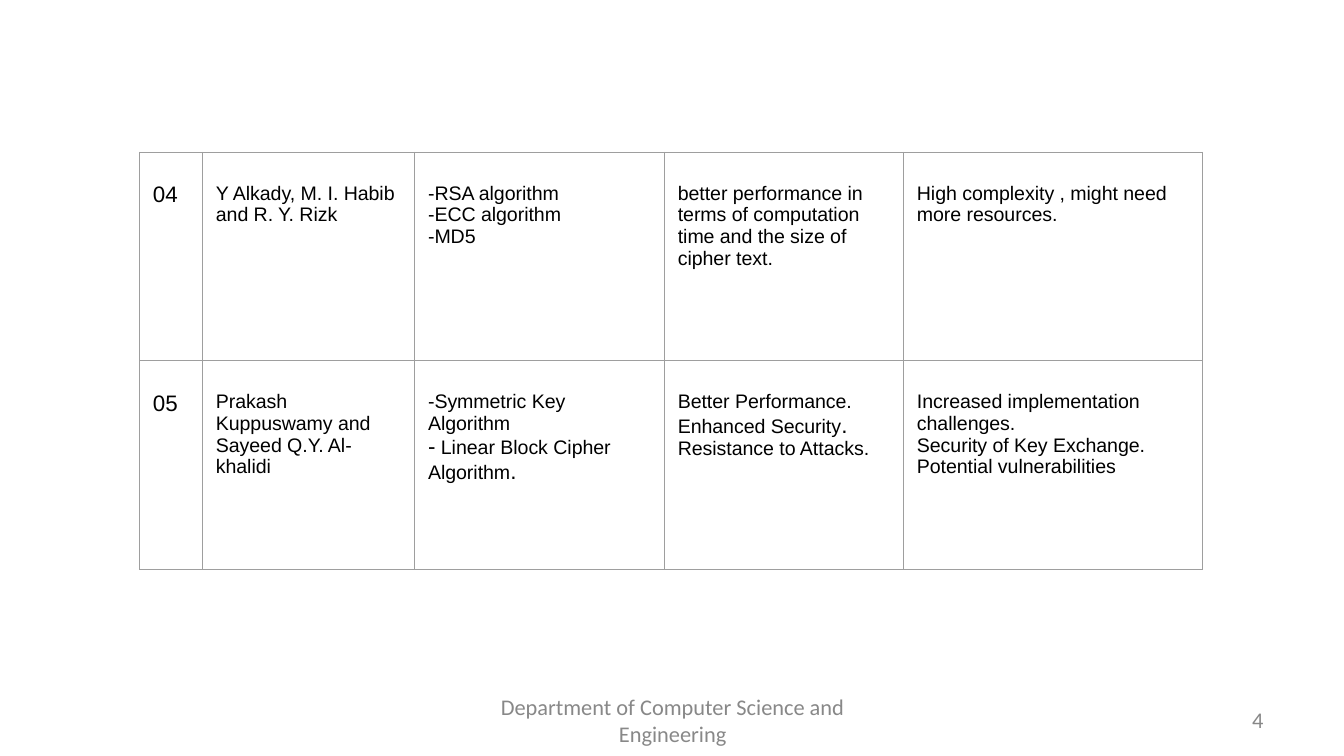
from dataclasses import dataclass

from lxml.etree import SubElement
from pptx import Presentation
from pptx.dml.color import RGBColor
from pptx.enum.text import MSO_ANCHOR, PP_ALIGN
from pptx.oxml.ns import qn
from pptx.util import Cm, Pt


@dataclass(frozen=True)
class Theme:
    ink: RGBColor = RGBColor(0, 0, 0)
    muted: RGBColor = RGBColor(0x88, 0x88, 0x88)
    grid: str = "9E9E9E"
    body_font: str = "Arial"
    footer_font: str = "Calibri"
    body: Pt = Pt(10.5)
    large: Pt = Pt(12)
    border: Pt = Pt(0.75)


theme = Theme()


def style(font, name, size, color):
    font.name, font.size, font.color.rgb = name, size, color


def add_borders(cell):
    properties = cell._tc.get_or_add_tcPr()
    for side in ("lnL", "lnR", "lnT", "lnB"):
        line = SubElement(properties, qn(f"a:{side}"), w=str(theme.border))
        fill = SubElement(line, qn("a:solidFill"))
        SubElement(fill, qn("a:srgbClr"), val=theme.grid)


prs = Presentation()
prs.slide_width, prs.slide_height = Cm(25.4), Cm(14.29)
slide = prs.slides.add_slide(prs.slide_layouts[6])

# Literature survey: number, authors, methods, advantages, limitations.
# A cell lists its paragraphs; a paragraph of mixed sizes lists its runs.
papers = [
    [
        ["04"],
        ["Y Alkady, M. I. Habib and R. Y. Rizk"],
        ["-RSA algorithm", "-ECC algorithm", "-MD5"],
        ["better performance in terms of computation time and the size of cipher text."],
        ["High complexity , might need more resources."],
    ],
    [
        ["05"],
        ["Prakash Kuppuswamy and Sayeed Q.Y. Al-khalidi"],
        [
            "-Symmetric Key Algorithm",
            [("-", theme.large), (" Linear Block Cipher Algorithm", theme.body), (".", theme.large)],
        ],
        [
            "Better Performance.",
            [("Enhanced Security", theme.body), (".", theme.large)],
            "Resistance to Attacks.",
        ],
        [
            "Increased implementation challenges.",
            "Security of Key Exchange.",
            "Potential vulnerabilities",
        ],
    ],
]
column_widths = [Cm(1.19), Cm(4.01), Cm(4.72), Cm(4.52), Cm(5.64)]
row_height = Cm(3.94)

survey = slide.shapes.add_table(
    len(papers), len(column_widths), Cm(2.64), Cm(2.88),
    sum(column_widths), row_height * len(papers),
).table
survey.first_row = survey.horz_banding = False
for column, width in zip(survey.columns, column_widths):
    column.width = width

for row, paper in zip(survey.rows, papers):
    row.height = row_height
    for index, (cell, paragraphs) in enumerate(zip(row.cells, paper)):
        add_borders(cell)
        cell.fill.background()
        cell.margin_left = cell.margin_right = Cm(0.25)
        cell.margin_top, cell.margin_bottom = Cm(0.57), Cm(0.13)
        default_size = theme.large if index == 0 else theme.body
        for position, content in enumerate(paragraphs):
            frame = cell.text_frame
            paragraph = frame.add_paragraph() if position else frame.paragraphs[0]
            style(paragraph.font, theme.body_font, default_size, theme.ink)
            if isinstance(content, str):
                paragraph.text = content
                continue
            for text, size in content:
                run = paragraph.add_run()
                run.text, run.font.size = text, size

# Footer: department and page number
for text, left, width, alignment in [
    ("Department of Computer Science and Engineering", Cm(8.69), Cm(8.05), PP_ALIGN.CENTER),
    ("4", Cm(18.21), Cm(5.92), PP_ALIGN.RIGHT),
]:
    footer = slide.shapes.add_textbox(left, Cm(13.23), width, Cm(0.76)).text_frame
    footer.word_wrap = True
    footer.vertical_anchor = MSO_ANCHOR.MIDDLE
    line = footer.paragraphs[0]
    line.text, line.alignment = text, alignment
    style(line.font, theme.footer_font, theme.large, theme.muted)

prs.save("out.pptx")
